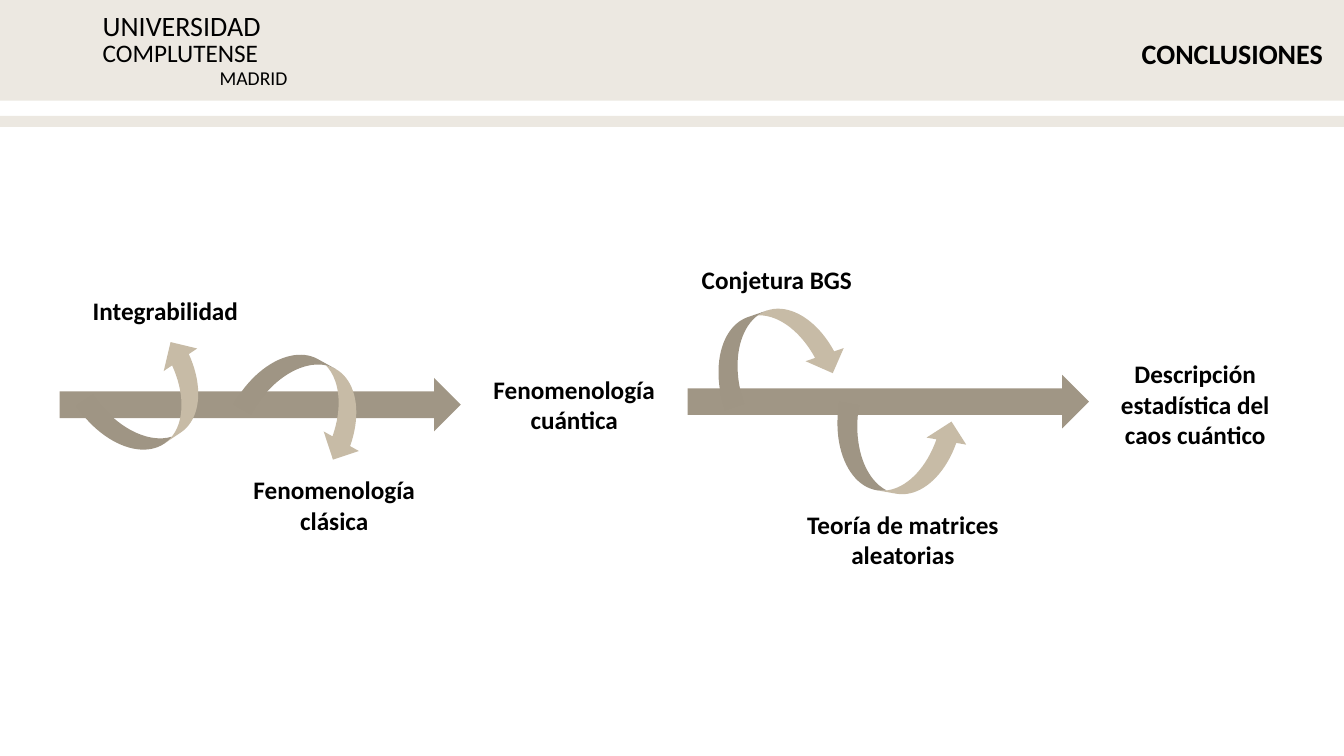
from pptx import Presentation
from pptx.dml.color import RGBColor
from pptx.enum.shapes import MSO_SHAPE as Shape
from pptx.enum.text import MSO_AUTO_SIZE as AutoSize, PP_ALIGN as Align
from pptx.util import Inches, Pt

BAND = "ECE8E1"
ARROW = "A09685"
CURL = "C7BBA6"


def add_filled_shape(kind, left, top, width, height, color, rotation=0):
    shape = slide.shapes.add_shape(
        kind, Inches(left), Inches(top), Inches(width), Inches(height))
    shape.fill.solid()
    shape.fill.fore_color.rgb = RGBColor.from_string(color)
    shape.line.fill.background()
    shape.shadow.inherit = False
    shape.rotation = rotation


def add_label(text, left, top, width, height, size=18, bold=True,
              align=Align.CENTER, spacing=1.0):
    box = slide.shapes.add_textbox(
        Inches(left), Inches(top), Inches(width), Inches(height))
    frame = box.text_frame
    frame.word_wrap = True
    frame.auto_size = AutoSize.SHAPE_TO_FIT_TEXT
    paragraph = frame.paragraphs[0]
    paragraph.text = text
    paragraph.alignment = align
    paragraph.line_spacing = spacing
    paragraph.font.name = "Calibri"
    paragraph.font.size = Pt(size)
    paragraph.font.bold = bold
    paragraph.font.color.rgb = RGBColor.from_string("000000")


presentation = Presentation()
presentation.slide_width = Inches(13.33)
presentation.slide_height = Inches(7.5)
slide = presentation.slides.add_slide(presentation.slide_layouts[6])

for top, height in [(0, 1), (1.15, 0.11)]:
    add_filled_shape(Shape.RECTANGLE, 0, top, 13.33, height, BAND)

add_label("CONCLUSIONES", 5.33, 0.31, 7.89, 0.44, 20, align=Align.RIGHT)
add_label("COMPLUTENSE", 0.92, 0.32, 2.15, 0.4, 18, False, Align.LEFT)
add_label("UNIVERSIDAD", 0.92, 0.04, 2.11, 0.44, 20, False, Align.LEFT)
add_label("MADRID", 1.93, 0.61, 1.02, 0.34, 14, False, Align.RIGHT)

for left, top in [(0.59, 3.75), (6.82, 3.72)]:
    add_filled_shape(Shape.RIGHT_ARROW, left, top, 3.98, 0.53, ARROW)

curls = [
    (Shape.CURVED_RIGHT_ARROW, 1.13, 3.32, 236),
    (Shape.CURVED_LEFT_ARROW, 2.69, 3.32, 299),
    (Shape.CURVED_RIGHT_ARROW, 8.51, 3.83, 280),
    (Shape.CURVED_LEFT_ARROW, 7.29, 2.81, 251),
]
for kind, left, top, rotation in curls:
    add_filled_shape(kind, left, top, 0.8, 1.33, CURL, rotation)

add_label("Integrabilidad", 0.82, 2.73, 1.96, 0.82,
          align=Align.JUSTIFY, spacing=1.5)
labels = [
    ("Fenomenología clásica", 2.27, 4.66, 2.09, 0.98),
    ("Fenomenología cuántica", 4.65, 3.66, 2.09, 0.98),
    ("Conjetura BGS", 6.66, 2.57, 2.09, 0.67),
    ("Teoría de matrices aleatorias", 7.62, 5, 2.67, 0.98),
    ("Descripción estadística del caos cuántico", 10.81, 3.51, 2.09, 1.28),
]
for label in labels:
    add_label(*label)

presentation.save("out.pptx")
